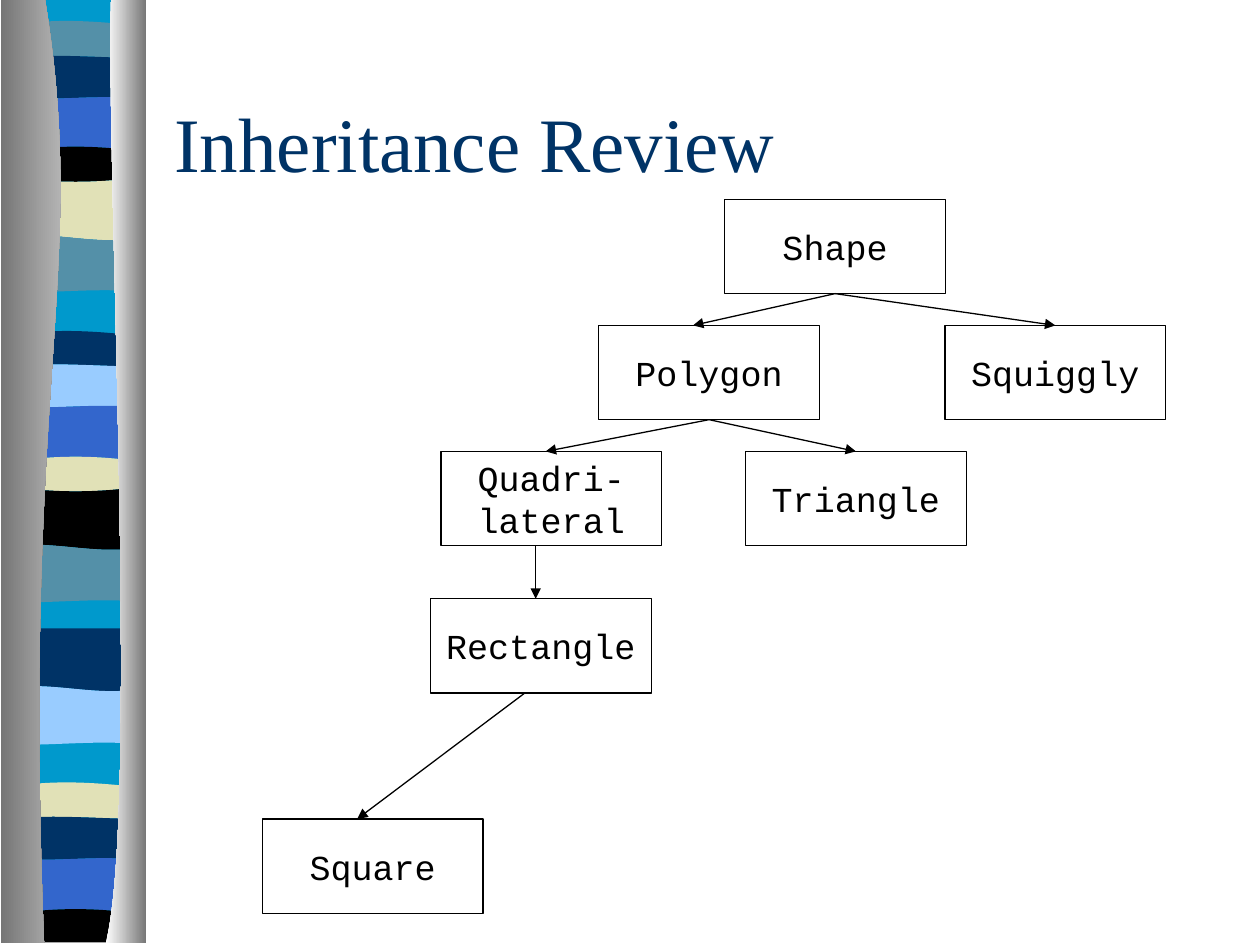
from pptx import Presentation
from pptx.dml.color import RGBColor
from pptx.enum.shapes import MSO_CONNECTOR, MSO_SHAPE
from pptx.enum.text import MSO_ANCHOR, MSO_AUTO_SIZE, PP_ALIGN
from pptx.oxml.ns import qn
from pptx.util import Cm, Pt
from lxml import etree

STRAIGHT, RECTANGLE = MSO_CONNECTOR.STRAIGHT, MSO_SHAPE.RECTANGLE
LEFT, CENTER, MIDDLE = PP_ALIGN.LEFT, PP_ALIGN.CENTER, MSO_ANCHOR.MIDDLE
TOP_SITE, BOTTOM_SITE = 0, 2
TITLE_ONLY_LAYOUT = 5

THEME = {
    "title_font": "Times New Roman", "title_size": 44,
    "box_font": "Courier New", "box_size": 20, "line_width": 0.75,
    "ink": "000000", "paper": "FFFFFF",
    "navy": "003366", "blue": "3366CC", "sky": "99CCFF", "cyan": "0099CC",
    "teal": "5490A8", "cream": "E1E1B7", "black": "000000",
    "shade": "767676", "silver": "D2D2D2", "white": "FFFFFF",
}

# Content, lengths in centimetres
TITLE = "Inheritance Review"
BOX_WIDTH, BOX_HEIGHT = 4.45, 1.9
CLASSES = {  # name: (lines, left, top)
    "Shape": (["Shape"], 14.61, 4.02),
    "Polygon": (["Polygon"], 12.07, 6.56),
    "Squiggly": (["Squiggly"], 19.05, 6.56),
    "Quadrilateral": (["Quadri-", "lateral"], 8.89, 9.1),
    "Triangle": (["Triangle"], 15.03, 9.1),
    "Rectangle": (["Rectangle"], 8.68, 12.07),
    "Square": (["Square"], 5.29, 16.51),
}
INHERITANCE = [  # parent, child, x at parent, x at child (None: middle of the side)
    ("Shape", "Polygon", None, 13.97),
    ("Shape", "Squiggly", None, None),
    ("Polygon", "Quadrilateral", None, 11.0),
    ("Polygon", "Triangle", None, None),
    ("Quadrilateral", "Rectangle", 10.8, 10.8),
    ("Rectangle", "Square", 10.58, 7.2),
]

# Ribbon: each stripe starts at a height with a wave and ends where the next starts
RIBBON_LEFT, RIBBON_RIGHT, RIBBON_BOTTOM = 0.15, 2.9, 19.0
WAVES = {
    "flat": (0, 0, 0, 0), "dip": (0, -0.18, -0.1, 0), "lift": (0, -0.1, 0, 0),
    "swell": (0, 0.1, -0.08, 0.05), "arch": (0, -0.15, -0.15, 0),
    "sag": (0, 0.14, 0.14, 0), "roll": (0, -0.15, 0.2, 0), "droop": (0, 0.03, -0.1, 0),
}
STRIPES = [
    ("cyan", 0, "flat"), ("teal", 0.53, "dip"), ("navy", 1.17, "lift"),
    ("blue", 1.96, "swell"), ("black", 3.07, "arch"), ("cream", 3.56, "sag"),
    ("teal", 4.78, "roll"), ("cyan", 5.89, "droop"), ("navy", 6.78, "dip"),
    ("sky", 7.39, "lift"), ("blue", 8.18, "swell"), ("cream", 9.32, "arch"),
    ("black", 9.8, "sag"), ("teal", 11.02, "roll"), ("cyan", 12.14, "droop"),
    ("navy", 12.67, "flat"), ("sky", 13.87, "roll"), ("cyan", 15.01, "droop"),
    ("cream", 15.88, "dip"), ("navy", 16.51, "lift"), ("blue", 17.3, "swell"),
    ("black", 18.44, "arch"),
]
BORDERS = [  # outer x, inner curve, colour at left, colour at right
    (0.02, [(0.91, 0), (1.8, 5.49), (0.43, 7.52), (0.89, 19.02)], "shade", "silver"),
    (2.95, [(2.24, 0), (2.13, 3.18), (2.82, 16.41), (2.13, 19.02)], "white", "shade"),
]


def color(name):
    return RGBColor.from_string(THEME[name])


def wave_edge(top, wave):
    """Four control points of a curve across the ribbon."""
    step = (RIBBON_RIGHT - RIBBON_LEFT) / 3
    return [(RIBBON_LEFT + i * step, top + offset) for i, offset in enumerate(WAVES[wave])]


def add_outline(slide, points, curve_starts=()):
    """Closed outline; from each curve start, three segments become one Bezier curve."""
    corners = [(Cm(x), Cm(y)) for x, y in points]
    builder = slide.shapes.build_freeform(*corners[0])
    builder.add_line_segments(corners[1:], close=True)
    shape = builder.convert_to_shape()
    segments = list(shape._element.iter(qn("a:lnTo")))
    for start in curve_starts:
        curve = etree.Element(qn("a:cubicBezTo"))
        segments[start].addprevious(curve)
        for segment in segments[start:start + 3]:
            curve.append(segment[0])
            segment.getparent().remove(segment)
    shape.shadow.inherit = False
    shape.line.fill.background()
    return shape


def add_ribbon(slide):
    # A cyan base shows through wherever a stripe is cyan
    base = add_outline(slide, [(RIBBON_LEFT, 0), (RIBBON_RIGHT, 0),
                               (RIBBON_RIGHT, RIBBON_BOTTOM), (RIBBON_LEFT, RIBBON_BOTTOM)])
    base.fill.solid()
    base.fill.fore_color.rgb = color("cyan")
    edges = [wave_edge(top, wave) for _, top, wave in STRIPES]
    edges.append(wave_edge(RIBBON_BOTTOM, "flat"))
    for (name, _, _), upper, lower in zip(STRIPES, edges, edges[1:]):
        if name != "cyan":
            stripe = add_outline(slide, upper + lower[::-1], (0, 4))
            stripe.fill.solid()
            stripe.fill.fore_color.rgb = color(name)
    for outer, inner, start, end in BORDERS:
        border = add_outline(slide, inner + [(outer, inner[-1][1]), (outer, 0)], (0,))
        border.fill.gradient()
        border.fill.gradient_angle = 0
        for stop, name in zip(border.fill.gradient_stops, (start, end)):
            stop.color.rgb = color(name)


def write(paragraph, text, role, ink, alignment):
    paragraph.alignment = alignment
    run = paragraph.add_run()
    run.text = text
    run.font.name = THEME[role + "_font"]
    run.font.size = Pt(THEME[role + "_size"])
    run.font.color.rgb = color(ink)


def add_title(slide):
    title = slide.shapes.title
    title.left, title.top, title.width, title.height = Cm(3.26), Cm(1.27), Cm(21.59), Cm(3.18)
    frame = title.text_frame
    frame.auto_size = MSO_AUTO_SIZE.NONE
    frame.vertical_anchor = MIDDLE
    write(frame.paragraphs[0], TITLE, "title", "navy", LEFT)


def add_class_box(slide, lines, left, top):
    box = slide.shapes.add_shape(RECTANGLE, Cm(left), Cm(top), Cm(BOX_WIDTH), Cm(BOX_HEIGHT))
    box.shadow.inherit = False
    box.fill.solid()
    box.fill.fore_color.rgb = color("paper")
    box.line.color.rgb = color("ink")
    box.line.width = Pt(THEME["line_width"])
    frame = box.text_frame
    frame.word_wrap = False
    frame.vertical_anchor = MIDDLE
    for index, line in enumerate(lines):
        paragraph = frame.add_paragraph() if index else frame.paragraphs[0]
        write(paragraph, line, "box", "ink", CENTER)
    return box


def add_arrow(slide, parent, child, parent_x, child_x):
    arrow = slide.shapes.add_connector(STRAIGHT, Cm(parent_x or 0), parent.top + parent.height,
                                       Cm(child_x or 0), child.top)
    if parent_x is None:
        arrow.begin_connect(parent, BOTTOM_SITE)
    if child_x is None:
        arrow.end_connect(child, TOP_SITE)
    arrow.line.color.rgb = color("ink")
    arrow.line.width = Pt(THEME["line_width"])
    etree.SubElement(arrow.line._get_or_add_ln(), qn("a:tailEnd"), type="triangle")
    etree.SubElement(arrow._element.spPr, qn("a:effectLst"))


def main():
    presentation = Presentation()
    presentation.slide_width, presentation.slide_height = Cm(25.4), Cm(19.05)
    slide = presentation.slides.add_slide(presentation.slide_layouts[TITLE_ONLY_LAYOUT])
    add_ribbon(slide)
    add_title(slide)
    boxes = {name: add_class_box(slide, *details) for name, details in CLASSES.items()}
    for parent, child, parent_x, child_x in INHERITANCE:
        add_arrow(slide, boxes[parent], boxes[child], parent_x, child_x)
    presentation.save("out.pptx")


if __name__ == "__main__":
    main()
